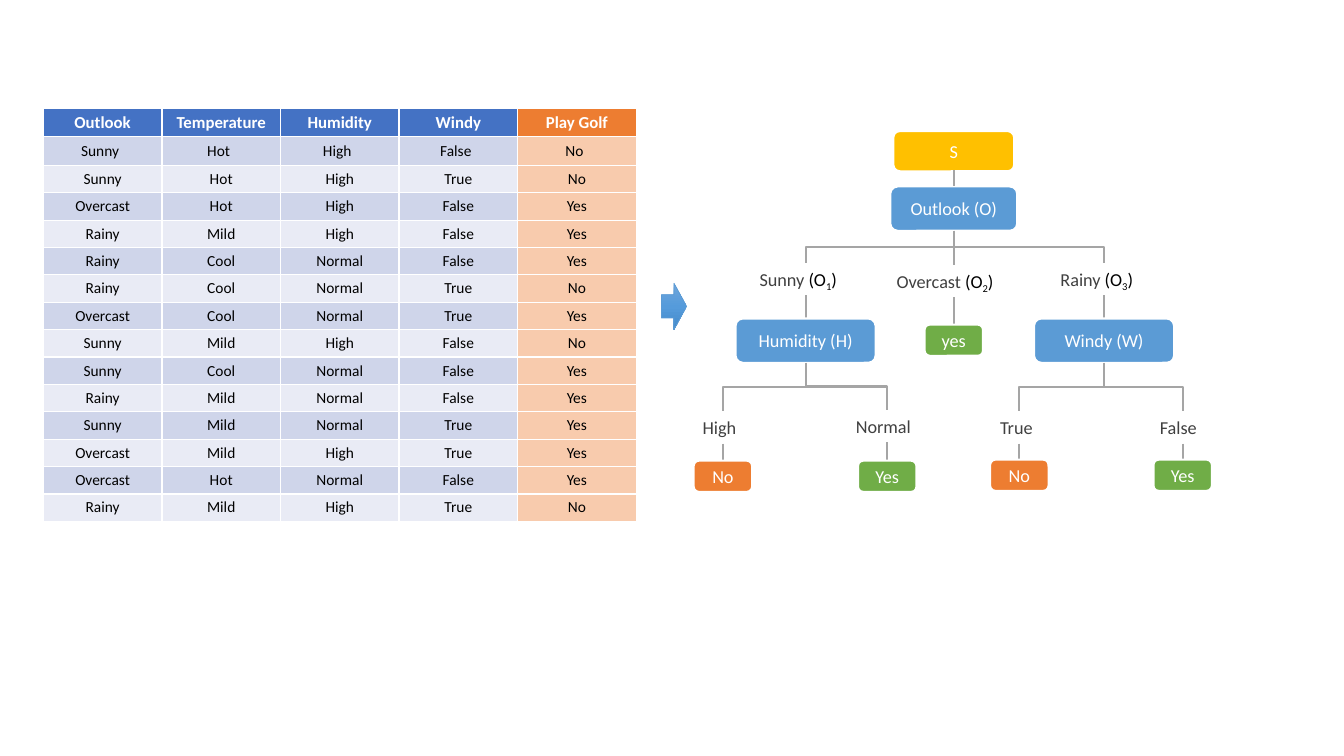
from copy import deepcopy

from pptx import Presentation
from pptx.dml.color import RGBColor
from pptx.enum.shapes import MSO_CONNECTOR as CONN, MSO_SHAPE as SHAPE
from pptx.enum.text import MSO_ANCHOR as ANCHOR, MSO_AUTO_SIZE as AUTO, PP_ALIGN as ALIGN
from pptx.oxml.ns import qn
from pptx.util import Inches, Pt

FONT = "Calibri"
WHITE, BLACK, GRAY, DARK = "FFFFFF", "000000", "A5A5A5", "404040"
BLUE, GREEN, ORANGE, GOLD = "5B9BD5", "70AD47", "ED7D31", "FFC000"

HEADERS = ["Outlook", "Temperature", "Humidity", "Windy", "Play Golf"]
DAYS = """Sunny Hot High False No
Sunny Hot High True No
Overcast Hot High False Yes
Rainy Mild High False Yes
Rainy Cool Normal False Yes
Rainy Cool Normal True No
Overcast Cool Normal True Yes
Sunny Mild High False No
Sunny Cool Normal False Yes
Rainy Mild Normal False Yes
Sunny Mild Normal True Yes
Overcast Mild High True Yes
Overcast Hot Normal False Yes
Rainy Mild High True No"""


def rgb(color):
    return RGBColor.from_string(color)


def style_font(font, size, color, bold=False):
    font.name, font.size, font.bold = FONT, Pt(size), bold
    font.color.rgb = rgb(color)


def add_node(s, x, y, w, h, text, color):
    """Rounded box centred on x."""
    sp = s.shapes.add_shape(SHAPE.ROUNDED_RECTANGLE, Inches(x - w / 2), Inches(y),
                            Inches(w), Inches(h))
    sp.shadow.inherit = False
    sp.fill.solid()
    sp.fill.fore_color.rgb = rgb(color)
    sp.line.color.rgb = rgb(WHITE)
    sp.line.width = Pt(1.5)
    tf = sp.text_frame
    tf.vertical_anchor = ANCHOR.MIDDLE
    p = tf.paragraphs[0]
    p.text, p.alignment = text, ALIGN.CENTER
    style_font(p.font, 13, WHITE)


def add_label(s, x, y, w, text, index=None):
    """Branch label centred on x, with an optional subscripted symbol."""
    sp = s.shapes.add_textbox(Inches(x - w / 2), Inches(y), Inches(w), Inches(0.32))
    tf = sp.text_frame
    tf.word_wrap, tf.auto_size = False, AUTO.SHAPE_TO_FIT_TEXT
    p = tf.paragraphs[0]
    parts = [(text, DARK)]
    if index:
        parts = [(text + " ", DARK), ("(O", BLACK), (index, BLACK), (")", BLACK)]
    for part, color in parts:
        r = p.add_run()
        r.text = part
        style_font(r.font, 13, color)
        if part == index:
            r.font._element.set("baseline", "-25000")


def add_link(s, x1, y1, x2, y2):
    """Vertical line, or an elbow that leaves and arrives vertically."""
    if x1 == x2:
        c = s.shapes.add_connector(CONN.STRAIGHT, *map(Inches, (x1, y1, x2, y2)))
    else:
        # The elbow is laid out sideways, then turned about its centre
        cx, cy = (x1 + x2) / 2, (y1 + y2) / 2
        half_w, half_h = (y2 - y1) / 2, abs(x2 - x1) / 2
        turn = 90
        if x2 > x1:
            turn, half_w = 270, -half_w
        c = s.shapes.add_connector(CONN.ELBOW, *map(Inches, (
            cx - half_w, cy - half_h, cx + half_w, cy + half_h)))
        c._element.spPr.find(qn("a:xfrm")).set("rot", str(turn * 60000))
    c.line.color.rgb = rgb(GRAY)
    c.line.width = Pt(1.5)
    c._element.spPr.append(c._element.makeelement(qn("a:effectLst"), {}))


def add_weather_table(s, x, y, w, h):
    rows = [HEADERS] + [line.split() for line in DAYS.splitlines()]
    last = len(HEADERS) - 1
    table = s.shapes.add_table(len(rows), len(HEADERS), Inches(x), Inches(y),
                               Inches(w), Inches(h)).table
    for i, row in enumerate(rows):
        for j, text in enumerate(row):
            cell = table.cell(i, j)
            if i == 0:
                color = ORANGE if j == last else "4472C4"
            elif j == last:
                color = "F8CBAD"
            else:
                color = "CFD5EA" if i % 2 else "E9EBF5"
            cell.fill.solid()
            cell.fill.fore_color.rgb = rgb(color)
            cell.vertical_anchor = ANCHOR.MIDDLE
            # The first day has its own cell margins
            margins = (0.05, 0.05, 0.1, 0.05) if i == 1 else (0.07, 0.03, 0.07, 0.03)
            (cell.margin_left, cell.margin_top,
             cell.margin_right, cell.margin_bottom) = map(Inches, margins)
            p = cell.text_frame.paragraphs[0]
            p.text, p.alignment = text, ALIGN.CENTER
            if i == 0:
                style_font(p.font, 12, WHITE, True)
            else:
                style_font(p.font, 11, BLACK)


def add_gradient_arrow(s, x, y, w, h):
    sp = s.shapes.add_shape(SHAPE.RIGHT_ARROW, *map(Inches, (x, y, w, h)))
    sp.shadow.inherit = False
    sp.fill.gradient()
    sp.fill.gradient_angle = 270
    stops = sp._element.spPr.find(qn("a:gradFill")).find(qn("a:gsLst"))
    stops.insert(1, deepcopy(stops[0]))
    colors = ["71A6DB", "559BDB", "448ACA"]
    for stop, position, color in zip(sp.fill.gradient_stops, (0, 0.5, 1), colors):
        stop.position = position
        stop.color.rgb = rgb(color)
    sp.line.color.rgb = rgb(BLUE)
    sp.line.width = Pt(0.5)


def add_decision_tree(s, x, y):
    # Root and first split
    mid = x + 2.59
    split = y + 0.99
    add_node(s, mid, y, 1.2, 0.4, "S", GOLD)
    add_node(s, mid, y + 0.55, 1.26, 0.44, "Outlook (O)", BLUE)
    add_link(s, mid, y + 0.39, mid, y + 0.55)

    # Overcast branch ends at once
    add_link(s, mid, split, mid, y + 1.33)
    add_label(s, mid, y + 1.33, 1.33, "Overcast", "2")
    add_link(s, mid, y + 1.65, mid, y + 1.92)
    add_node(s, mid, y + 1.92, 0.58, 0.31, "yes", GREEN)

    # Branches split again: x, label, width, index, node, leaf top, leaves
    branches = [
        (1.12, "Sunny", 1.11, "1", "Humidity (H)", 3.27,
         [(0.3, "High", 0.6, 2.78, "No", ORANGE),
          (1.93, "Normal", 0.82, 2.77, "Yes", GREEN)]),
        (4.08, "Rainy", 1.06, "3", "Windy (W)", 3.26,
         [(3.24, "True", 0.58, 2.78, "No", ORANGE),
          (4.86, "False", 0.65, 2.78, "Yes", GREEN)]),
    ]
    for bx, label, width, index, node, leaf_top, leaves in branches:
        bx += x
        add_link(s, mid, split, bx, y + 1.31)
        add_label(s, bx, y + 1.31, width, label, index)
        add_link(s, bx, y + 1.63, bx, y + 1.86)
        add_node(s, bx, y + 1.86, 1.39, 0.44, node, BLUE)
        for lx, value, value_w, value_top, answer, color in leaves:
            lx += x
            add_link(s, bx, y + 2.3, lx, y + value_top)
            add_label(s, lx, y + value_top, value_w, value)
            add_link(s, lx, y + value_top + 0.32, lx, y + leaf_top)
            add_node(s, lx, y + leaf_top, 0.58, 0.31, answer, color)


prs = Presentation()
prs.slide_width, prs.slide_height = Inches(13.33), Inches(7.5)
slide = prs.slides.add_slide(prs.slide_layouts[6])
add_weather_table(slide, 0.43, 1.08, 5.88, 4.08)
add_gradient_arrow(slide, 6.56, 2.81, 0.25, 0.46)
add_decision_tree(slide, 6.87, 1.3)
prs.save("out.pptx")
